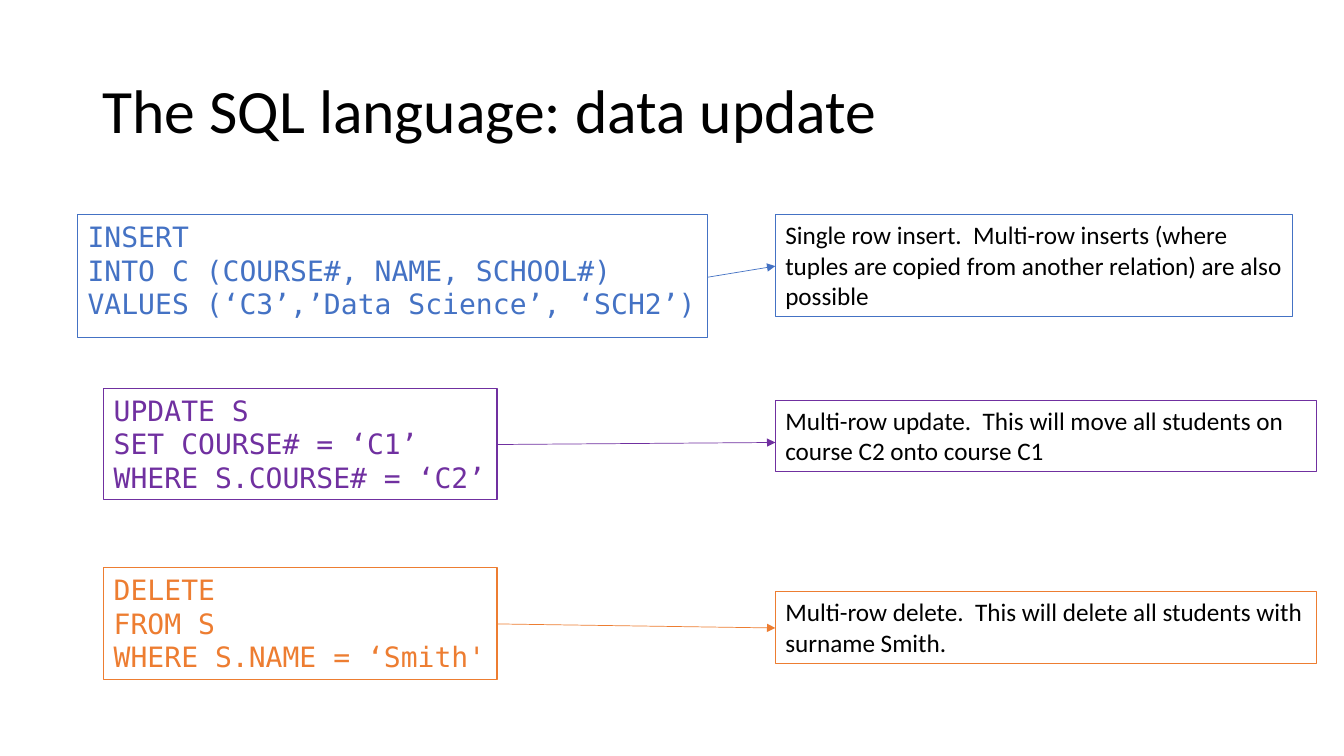
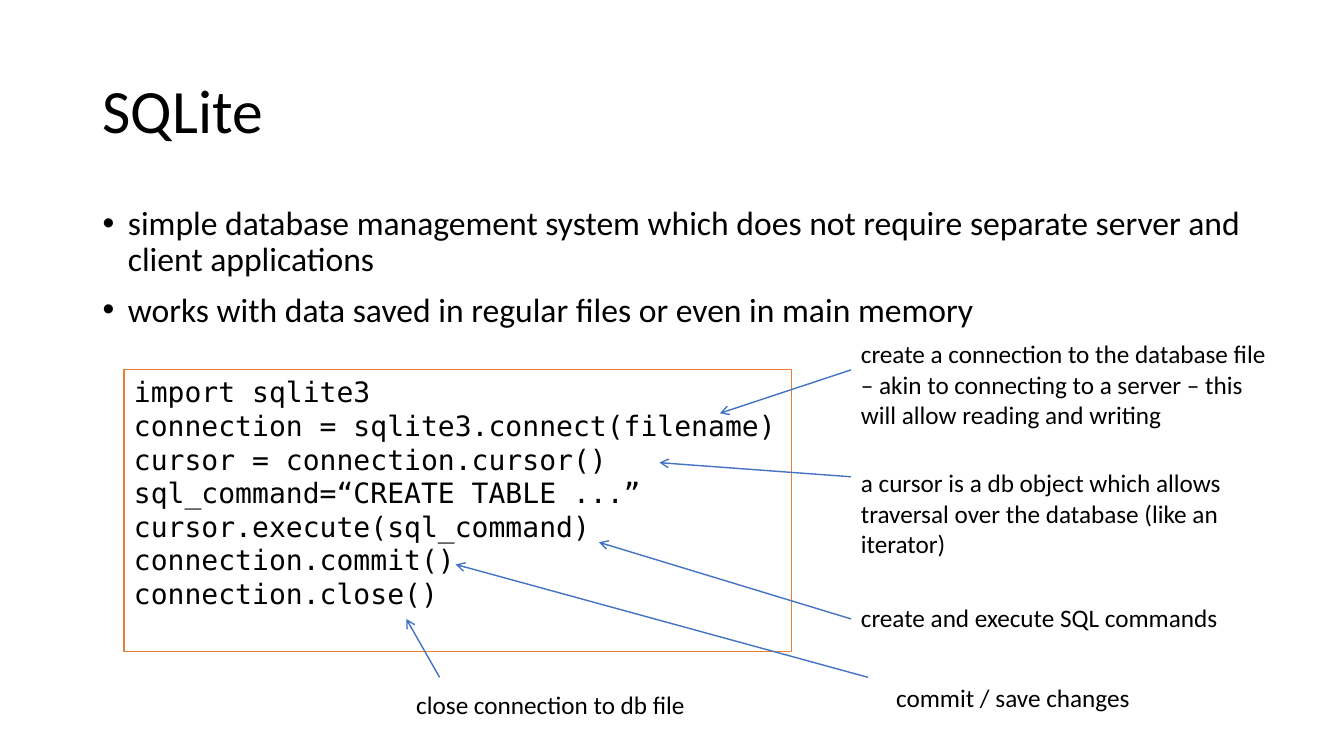
from lxml.etree import SubElement
from pptx import Presentation
from pptx.dml.color import RGBColor
from pptx.enum.shapes import MSO_CONNECTOR
from pptx.enum.text import MSO_ANCHOR
from pptx.oxml.ns import qn
from pptx.util import Pt

PX = 9144  # 100 px to the inch
BODY_FONT, CODE_FONT = "Calibri", "DejaVu Sans Mono"
COLORS = {
    "black": "000000",
    "blue": "4472C4",
    "purple": "7030A0",
    "orange": "ED7D31",
}


def rgb(name):
    return RGBColor.from_string(COLORS[name])


def write(tf, text, size=18, font=BODY_FONT, color="black", spacing=None,
          before=0, bullet=False):
    """Fill a text frame, one paragraph for each line of text."""
    for i, line in enumerate(text.split("\n")):
        p = tf.paragraphs[0] if i == 0 else tf.add_paragraph()
        p.line_spacing = spacing
        p.space_before = Pt(before)
        if bullet:
            pPr = p._p.get_or_add_pPr()
            pPr.set("marL", str(25 * PX))
            pPr.set("indent", str(-25 * PX))
            SubElement(pPr, qn("a:buFont"), typeface="Arial")
            SubElement(pPr, qn("a:buChar"), char="•")
        r = p.add_run()
        r.text = line
        r.font.size = Pt(size)
        r.font.name = font
        r.font.color.rgb = rgb(color)


class Deck:
    def __init__(self):
        self.prs = Presentation()
        self.prs.slide_width, self.prs.slide_height = 1333 * PX, 750 * PX
        self.s = None

    def slide(self, title):
        self.s = self.prs.slides.add_slide(self.prs.slide_layouts[6])
        self.box((92, 40, 1150, 145), title, anchor=MSO_ANCHOR.MIDDLE,
                 size=44, spacing=0.9)

    def box(self, at, text, border=None, anchor=MSO_ANCHOR.TOP, **style):
        sp = self.s.shapes.add_textbox(*(v * PX for v in at))
        if border:
            sp.line.color.rgb = rgb(border)
            sp.line.width = Pt(0.75)
        tf = sp.text_frame
        tf.word_wrap = True
        tf.vertical_anchor = anchor
        write(tf, text, **style)

    def bullets(self, at, text):
        self.box(at, text, size=24, spacing=0.9, before=10, bullet=True)

    def code(self, at, text, border, color="black"):
        self.box(at, text, border, size=20, font=CODE_FONT, color=color)

    def arrow(self, start, end, color="blue", width=1, head="arrow"):
        line = self.s.shapes.add_connector(
            MSO_CONNECTOR.STRAIGHT, *(v * PX for v in start + end))
        line.line.color.rgb = rgb(color)
        line.line.width = Pt(width)
        SubElement(line.line._get_or_add_ln(), qn("a:tailEnd"), type=head)
        SubElement(line._element.spPr, qn("a:effectLst"))


def data_update(deck):
    deck.slide("The SQL language: data update")
    note_x = 769
    # colour, code box, code, note (top, width, height), note text, arrow ends
    statements = [
        ("blue", (77, 213, 625, 122),
         "INSERT\nINTO C (COURSE#, NAME, SCHOOL#)\n"
         "VALUES (‘C3’,’Data Science’, ‘SCH2’)",
         (213, 513, 101),
         "Single row insert.  Multi-row inserts (where tuples are copied "
         "from another relation) are also possible", (275, 264)),
        ("purple", (103, 385, 390, 111),
         "UPDATE S\nSET COURSE# = ‘C1’\nWHERE S.COURSE# = ‘C2’",
         (397, 537, 71),
         "Multi-row update.  This will move all students on course C2 "
         "onto course C1", (441, 439)),
        ("orange", (103, 563, 390, 111),
         "DELETE\nFROM S\nWHERE S.NAME = ‘Smith'",
         (587, 537, 71),
         "Multi-row delete.  This will delete all students with surname "
         "Smith.", (619, 623)),
    ]
    for color, code_at, code, note_at, note, (start_y, end_y) in statements:
        deck.code(code_at, code, color, color)
        deck.box((note_x, *note_at), note, color)
        deck.arrow((code_at[0] + code_at[2], start_y), (note_x, end_y),
                   color, 0.5, "triangle")


def sqlite(deck):
    deck.slide("SQLite")
    deck.bullets(
        (92, 200, 1150, 155),
        "simple database management system which does not require separate "
        "server and client applications\n"
        "works with data saved in regular files or even in main memory")
    deck.code(
        (123, 367, 662, 279),
        "import sqlite3\n"
        "connection = sqlite3.connect(filename)\n"
        "cursor = connection.cursor()\n"
        "sql_command=“CREATE TABLE ...”\n"
        "cursor.execute(sql_command)\n"
        "connection.commit()\n"
        "connection.close()", "orange")
    # note box, note text, arrow start, arrow end
    notes = [
        ((844, 331, 424, 101),
         "create a connection to the database file – akin to connecting to "
         "a server – this will allow reading and writing",
         (844, 367), (714, 410)),
        ((844, 459, 424, 101),
         "a cursor is a db object which allows traversal over the database "
         "(like an iterator)", (844, 473), (654, 459)),
        ((844, 593, 380, 40), "create and execute SQL commands",
         (844, 614), (594, 538)),
        ((879, 672, 256, 40), "commit / save changes",
         (861, 672), (452, 560)),
        ((403, 679, 290, 40), "close connection to db file",
         (436, 672), (403, 614)),
    ]
    for at, text, start, end in notes:
        deck.arrow(start, end)
        deck.box(at, text)


def main():
    deck = Deck()
    data_update(deck)
    sqlite(deck)
    deck.prs.save("out.pptx")


if __name__ == "__main__":
    main()
